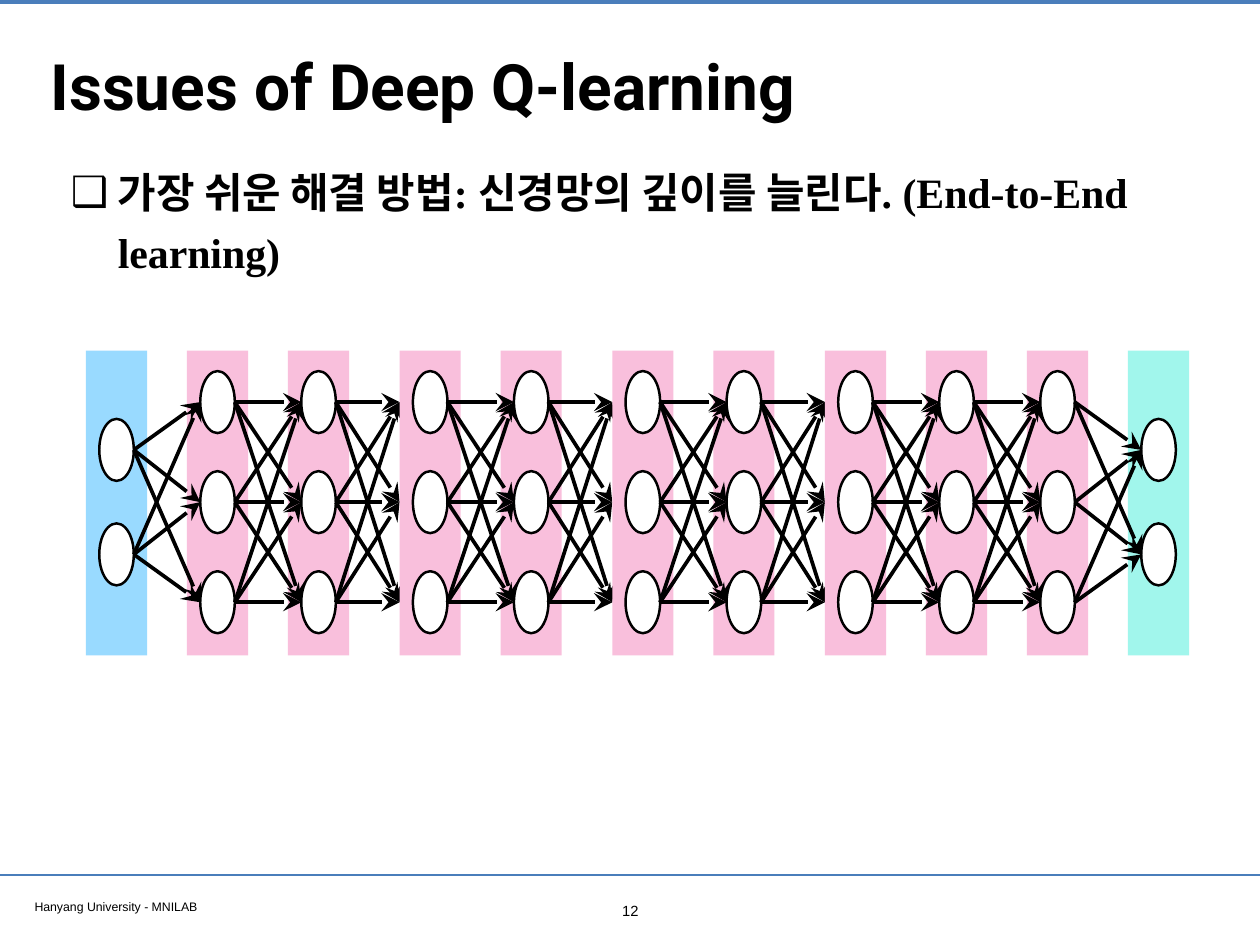
from dataclasses import dataclass
from itertools import product

from lxml import etree
from pptx import Presentation, util as u
from pptx.dml.color import RGBColor
from pptx.enum import shapes, text
from pptx.oxml.ns import qn

BLACK = RGBColor(0x00, 0x00, 0x00)
WHITE = RGBColor(0xFF, 0xFF, 0xFF)
RULE_BLUE = RGBColor(0x4A, 0x7E, 0xBB)
INPUT_BLUE = RGBColor(0x99, 0xDA, 0xFF)
HIDDEN_PINK = RGBColor(0xF9, 0xBF, 0xDC)
OUTPUT_MINT = RGBColor(0xA1, 0xF6, 0xEC)

SLIDE_W, SLIDE_H = 14.22, 10.67

# Network grid, in inches
NET_LEFT, NET_TOP = 0.97, 3.96
COLUMN, WIDE_GAP = 1.14, 0.12
BAND_W, BAND_H = 0.69, 3.44
NODE_W, NODE_H = 0.39, 0.7
NODE_INSET = (BAND_W - NODE_W) / 2
NODE_MIDDLE = 5.67


@dataclass
class Layer:
    color: RGBColor
    nodes: int = 3
    row: float = 1.13
    wide: bool = False  # a wider gap precedes the layer, and its band covers the arrow tips


HIDDEN, WIDE_HIDDEN = Layer(HIDDEN_PINK), Layer(HIDDEN_PINK, wide=True)
LAYERS = [Layer(INPUT_BLUE, 2, 1.18), HIDDEN,
          *[HIDDEN, WIDE_HIDDEN] * 3, HIDDEN, HIDDEN,
          Layer(OUTPUT_MINT, 2, 1.18)]


def band_left(i: int) -> float:
    return NET_LEFT + i * COLUMN + WIDE_GAP * sum(l.wide for l in LAYERS[:i + 1])


def node_centres(layer: Layer) -> list[float]:
    return [NODE_MIDDLE + (k - (layer.nodes - 1) / 2) * layer.row
            for k in range(layer.nodes)]


def share(left: float, top: float, width: float, height: float) -> tuple:
    """Turn percentages of the slide into lengths."""
    return tuple(u.Inches(p / 100 * side) for p, side in
                 zip((left, top, width, height), (SLIDE_W, SLIDE_H) * 2))


def place(sp, box: tuple) -> None:
    sp.left, sp.top, sp.width, sp.height = box


def write(sp, words: str, *, size: float, font: str = "Arial", bold: bool = False,
          align=text.PP_ALIGN.LEFT, anchor=text.MSO_ANCHOR.TOP, spacing: float = 1.0,
          bullet: str = "", hang: float = 0) -> None:
    tf = sp.text_frame
    tf.word_wrap = True
    tf.auto_size = text.MSO_AUTO_SIZE.NONE
    tf.vertical_anchor = anchor
    tf.margin_left = tf.margin_top = tf.margin_right = tf.margin_bottom = u.Inches(0.06)
    p = tf.paragraphs[0]
    if bullet:
        pPr = p._p.get_or_add_pPr()
        pPr.set("marL", str(u.Inches(hang)))
        pPr.set("indent", str(-u.Inches(hang)))
        etree.SubElement(pPr, qn("a:buChar")).set("char", bullet)
    p.alignment = align
    p.line_spacing = spacing
    p.space_before = u.Pt(0)
    r = p.add_run()
    r.text = words
    r.font.name, r.font.size, r.font.bold = font, u.Pt(size), bold
    r.font.color.rgb = BLACK


def add_line(s, start: tuple, end: tuple, color: RGBColor, weight: float,
             arrow: bool = False) -> None:
    """Draw a straight line between two points given in inches."""
    line = s.shapes.add_connector(shapes.MSO_CONNECTOR.STRAIGHT,
                                  *map(u.Inches, (*start, *end)))
    line.line.color.rgb = color
    line.line.width = u.Pt(weight)
    if arrow:
        tail = etree.SubElement(line.line._get_or_add_ln(), qn("a:tailEnd"))
        for key, value in (("type", "stealth"), ("w", "lg"), ("len", "lg")):
            tail.set(key, value)
    etree.SubElement(line._element.spPr, qn("a:effectLst"))


def add_filled(s, kind, box: tuple, color: RGBColor, outline: float = 0) -> None:
    sp = s.shapes.add_shape(kind, *map(u.Inches, box))
    sp.shadow.inherit = False
    sp.fill.solid()
    sp.fill.fore_color.rgb = color
    if outline:
        sp.line.color.rgb = BLACK
        sp.line.width = u.Pt(outline)
    else:
        sp.line.fill.background()


def add_layer(s, i: int) -> None:
    layer, left = LAYERS[i], band_left(i)
    add_filled(s, shapes.MSO_SHAPE.RECTANGLE, (left, NET_TOP, BAND_W, BAND_H), layer.color)
    for y in node_centres(layer):
        add_filled(s, shapes.MSO_SHAPE.OVAL,
                   (left + NODE_INSET, y - NODE_H / 2, NODE_W, NODE_H), WHITE, outline=2)


def add_links(s, i: int) -> None:
    """Join every node of the layer before i to every node of layer i."""
    x1 = band_left(i - 1) + NODE_INSET + NODE_W
    x2 = band_left(i) + (0 if LAYERS[i].wide else NODE_INSET)
    for y1, y2 in product(node_centres(LAYERS[i - 1]), node_centres(LAYERS[i])):
        add_line(s, (x1, y1), (x2, y2), BLACK, 3, arrow=True)


def add_network(s) -> None:
    add_layer(s, 0)
    for i in range(1, len(LAYERS)):
        steps = (add_links, add_layer) if LAYERS[i].wide else (add_layer, add_links)
        for step in steps:
            step(s, i)


def main() -> None:
    prs = Presentation()
    prs.slide_width, prs.slide_height = u.Inches(SLIDE_W), u.Inches(SLIDE_H)
    s = prs.slides.add_slide(prs.slide_layouts[1])

    for y, weight in ((0.02, 3.2), (9.88, 2)):
        add_line(s, (0, y), (SLIDE_W, y), RULE_BLUE, weight)

    title, body = s.shapes.title, s.placeholders[1]
    place(title, share(3.59, 2.62, 92.9, 12.65))
    write(title, "Issues of Deep Q-learning", size=52, font="Roboto", bold=True,
          anchor=text.MSO_ANCHOR.MIDDLE)
    place(body, share(5.2, 16.03, 93.88, 15.75))
    write(body, "가장 쉬운 해결 방법: 신경망의 깊이를 늘린다. (End-to-End learning)",
          size=34, font="Times New Roman", bold=True, spacing=1.2, bullet="❑", hang=0.53)

    add_network(s)

    footer = s.shapes.add_textbox(*share(2.32, 94.56, 38.4, 2.44))
    write(footer, "Hanyang University - MNILAB", size=10)
    number = s.shapes.add_textbox(*share(48.66, 94.85, 2.74, 2.91))
    write(number, "12", size=12, align=text.PP_ALIGN.CENTER)

    prs.save("out.pptx")


if __name__ == "__main__":
    main()
